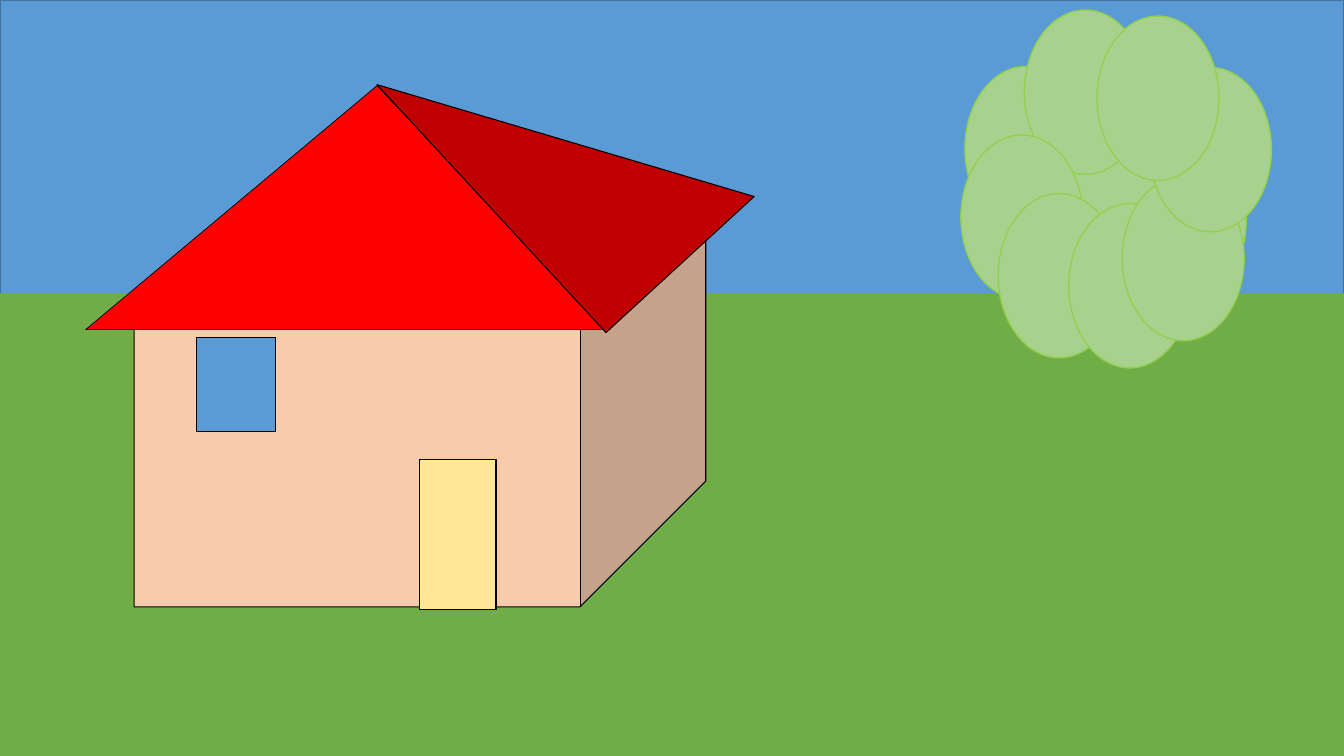
from dataclasses import dataclass

from pptx import Presentation
from pptx.dml.color import RGBColor
from pptx.enum.shapes import MSO_SHAPE as Preset
from pptx.shapes.autoshape import Shape
from pptx.shapes.shapetree import GroupShapes
from pptx.util import Inches, Pt

SKY = RGBColor(0x5B, 0x9B, 0xD5)
SKY_EDGE = RGBColor(0x43, 0x73, 0x9E)
GRASS = RGBColor(0x70, 0xAD, 0x47)
WALL = RGBColor(0xF8, 0xCB, 0xAD)
ROOF_FRONT = RGBColor(0xFF, 0x00, 0x00)
ROOF_SIDE = RGBColor(0xC0, 0x00, 0x00)
DOOR = RGBColor(0xFF, 0xE6, 0x99)
LEAF = RGBColor(0xA9, 0xD1, 0x8E)
LEAF_EDGE = RGBColor(0x92, 0xD0, 0x50)
BLACK = RGBColor(0x00, 0x00, 0x00)

WIDTH, HEIGHT = 13.33, 7.5
HORIZON = 2.91
LEAF_SIZE = (1.21, 1.63)

Point = tuple[float, float]


@dataclass(frozen=True)
class Style:
    fill: RGBColor
    edge: RGBColor | None = None
    weight: float = 1


@dataclass(frozen=True)
class Block:
    left: float
    top: float
    width: float
    height: float
    style: Style
    preset: Preset = Preset.RECTANGLE


LEAF_STYLE = Style(LEAF, LEAF_EDGE)

LANDSCAPE = [
    Block(0, 0, WIDTH, 2.97, Style(SKY, SKY_EDGE)),
    Block(0, HORIZON, WIDTH, HEIGHT - HORIZON, Style(GRASS)),
]
WALLS = Block(1.33, 1.91, 5.67, 4.11, Style(WALL, BLACK, 0.75), Preset.CUBE)
WALL_DEPTH = 0.303
FRONT_GABLE = [(0.85, 3.27), (3.74, 0.85), (6.05, 3.27)]
SIDE_SLOPE = [(6.01, 3.3), (3.74, 0.84), (7.48, 1.95)]
OPENINGS = [
    Block(4.16, 4.56, 0.76, 1.49, Style(DOOR, BLACK)),
    Block(1.95, 3.35, 0.78, 0.93, Style(SKY, BLACK)),
]
LEAF_CORNERS = [
    (9.57, 0.66), (11.15, 1.37), (10.46, 0.56), (10.16, 0.1), (9.53, 1.34),
    (9.9, 1.92), (10.6, 2.02), (11.13, 1.75), (11.4, 0.67), (10.88, 0.16),
]


def apply_style(shape: Shape, style: Style) -> None:
    shape.shadow.inherit = False
    shape.fill.solid()
    shape.fill.fore_color.rgb = style.fill
    if style.edge is None:
        shape.line.fill.background()
    else:
        shape.line.color.rgb = style.edge
        shape.line.width = Pt(style.weight)


def add_block(shapes: GroupShapes, block: Block) -> Shape:
    shape = shapes.add_shape(
        block.preset, Inches(block.left), Inches(block.top),
        Inches(block.width), Inches(block.height),
    )
    apply_style(shape, block.style)
    return shape


def add_polygon(shapes: GroupShapes, corners: list[Point], style: Style) -> None:
    start, *others = [(Inches(x), Inches(y)) for x, y in corners]
    builder = shapes.build_freeform(*start)
    builder.add_line_segments(others, close=True)
    apply_style(builder.convert_to_shape(), style)


def main() -> None:
    presentation = Presentation()
    presentation.slide_width = Inches(WIDTH)
    presentation.slide_height = Inches(HEIGHT)
    blank_layout = presentation.slide_layouts.get_by_name("Blank")
    slide = presentation.slides.add_slide(blank_layout)
    scene = slide.shapes.add_group_shape().shapes

    for block in LANDSCAPE:
        add_block(scene, block)

    add_block(scene, WALLS).adjustments[0] = WALL_DEPTH
    add_polygon(scene, FRONT_GABLE, Style(ROOF_FRONT, BLACK, 0.5))
    add_polygon(scene, SIDE_SLOPE, Style(ROOF_SIDE, BLACK, 0.75))
    for block in OPENINGS:
        add_block(scene, block)

    for corner in LEAF_CORNERS:
        add_block(scene, Block(*corner, *LEAF_SIZE, LEAF_STYLE, Preset.OVAL))

    presentation.save("out.pptx")


if __name__ == "__main__":
    main()
